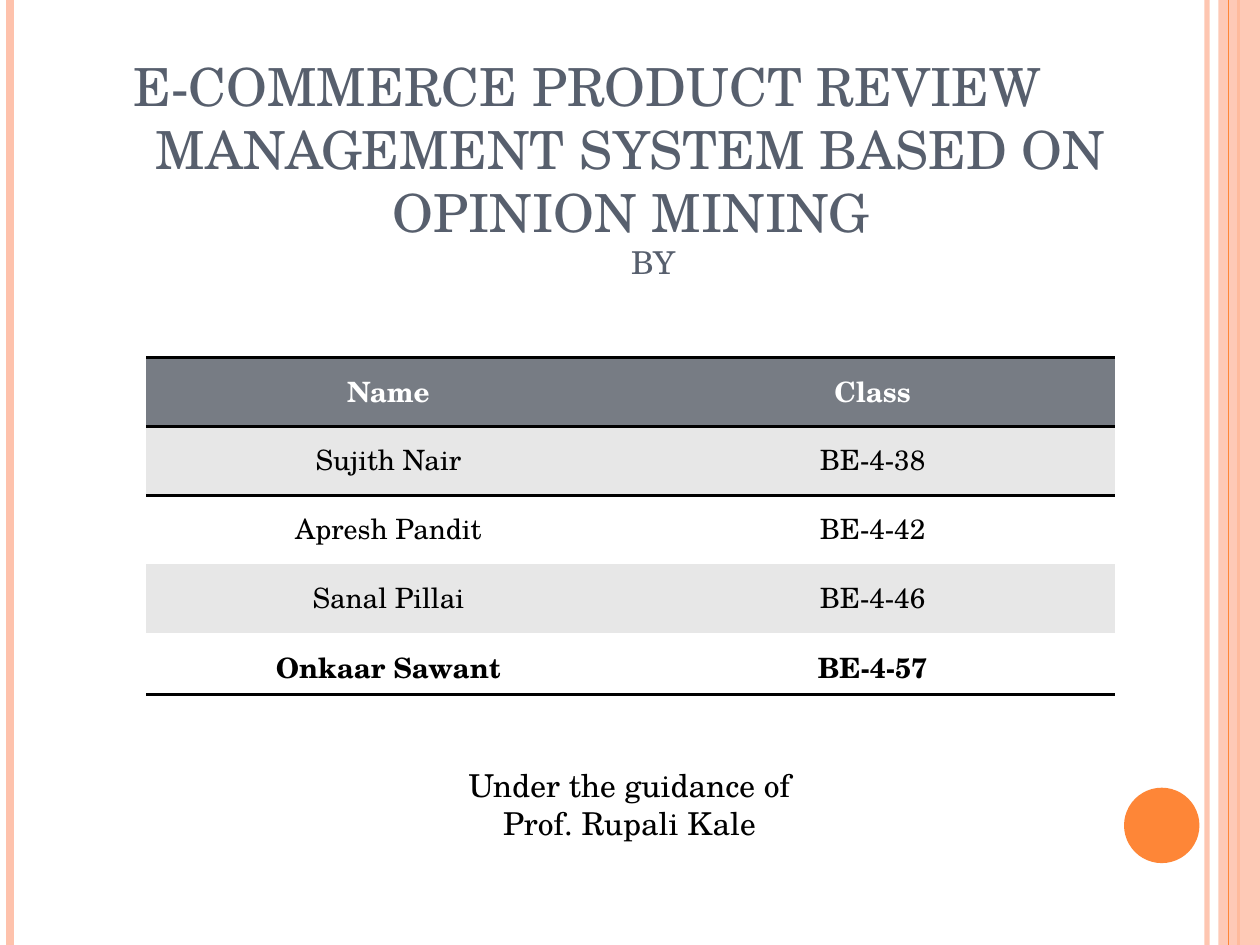
from dataclasses import dataclass

from lxml.etree import SubElement
from pptx import Presentation
from pptx.dml.color import RGBColor as RGB
from pptx.enum.shapes import MSO_CONNECTOR as Connector, MSO_SHAPE as Shape
from pptx.enum.text import MSO_ANCHOR as Anchor, PP_ALIGN as Align
from pptx.oxml.ns import qn
from pptx.util import Cm, Pt


@dataclass(frozen=True)
class Theme:
    """Colours, font and type sizes of the slide."""
    font: str = "TeX Gyre Schola"
    peach: str = "FEC2AC"
    orange: str = "FE8637"
    slate: str = "575F6D"
    header: str = "777C84"
    band: str = "E7E7E7"
    white: str = "FFFFFF"
    black: str = "000000"
    title: int = 30
    body: int = 18
    cell: int = 16


theme = Theme()
NO_STYLE = "{2D5ABB26-0587-4C30-8999-92F81FD0307C}"


def write(p, text, size, color, align=Align.CENTER, bold=False):
    """Fill a paragraph with one formatted run."""
    p.alignment = align
    r = p.add_run()
    r.text = text
    formats = {"name": theme.font, "size": Pt(size), "bold": bold}
    for key, value in formats.items():
        setattr(r.font, key, value)
    r.font.color.rgb = RGB.from_string(color)


def set_alpha(fill, percent):
    """Make a solid fill partly transparent."""
    color = next(fill.iter(qn("a:srgbClr")))
    SubElement(color, qn("a:alpha")).set("val", str(percent * 1000))


prs = Presentation()
prs.slide_width, prs.slide_height = Cm(25.4), Cm(19.05)
s = prs.slides.add_slide(prs.slide_layouts[6])

# Side decoration: vertical rules, the right band and the disc
decoration = [
    ("rule", 24.33, theme.peach, 3, 93),
    ("rule", 0.2, theme.peach, 4.5, 100),
    ("rule", 24.97, theme.orange, 1.5, 100),
    ("band", 24.56, theme.peach, 0, 87),
    ("rule", 24.77, theme.orange, 0.75, 100),
    ("disc", 22.66, theme.orange, 0, 100),
]
for kind, x, color, width, alpha in decoration:
    if kind == "rule":
        sp = s.shapes.add_connector(
            Connector.STRAIGHT, Cm(x), Cm(0), Cm(x), prs.slide_height)
        sp.line.width = Pt(width)
        paint = sp.line.fill
        SubElement(sp._element.spPr, qn("a:effectLst"))
    else:
        if kind == "band":
            sp = s.shapes.add_shape(
                Shape.RECTANGLE, Cm(x), Cm(0), Cm(0.84), prs.slide_height)
        else:
            sp = s.shapes.add_shape(
                Shape.OVAL, Cm(x), Cm(15.88), Cm(1.52), Cm(1.52))
        sp.shadow.inherit = False
        sp.line.fill.background()
        paint = sp.fill
    paint.solid()
    paint.fore_color.rgb = RGB.from_string(color)
    if alpha < 100:
        set_alpha(sp._element.spPr, alpha)

# Title
tf = s.shapes.add_textbox(Cm(2.34), Cm(2.74), Cm(20.75), Cm(3.18)).text_frame
tf.word_wrap = True
tf.vertical_anchor = Anchor.BOTTOM
for side in ("left", "right", "top", "bottom"):
    setattr(tf, f"margin_{side}", Cm(0.25))
title_lines = [
    ("E-COMMERCE PRODUCT REVIEW", theme.title, Align.LEFT, 0.1),
    ("MANAGEMENT SYSTEM BASED ON OPINION MINING", theme.title, Align.CENTER, 0),
    ("BY", theme.body, Align.CENTER, 0.91),
]
for i, (text, size, align, indent) in enumerate(title_lines):
    p = tf.add_paragraph() if i else tf.paragraphs[0]
    p._p.get_or_add_pPr().set("marL", str(Cm(indent)))
    write(p, text, size, theme.slate, align)

# Team table
team = [
    ("Name", "Class"),
    ("Sujith Nair", "BE-4-38"),
    ("Apresh Pandit", "BE-4-42"),
    ("Sanal Pillai", "BE-4-46"),
    ("Onkaar Sawant", "BE-4-57"),
]
last = len(team) - 1
frame = s.shapes.add_table(
    len(team), 2, Cm(2.95), Cm(7.21), Cm(19.52), Cm(6.81))
table = frame.table
table.first_row = table.horz_banding = False
table._tbl.tblPr.find(qn("a:tableStyleId")).text = NO_STYLE
for i, row in enumerate(team):
    table.rows[i].height = Cm(1.24 if i == last else 1.39)
    fill = theme.header if i == 0 else theme.band if i % 2 else theme.white
    edges = {0: ("a:lnT", "a:lnB"), 1: ("a:lnT",), last: ("a:lnB",)}.get(i, ())
    for j, text in enumerate(row):
        cell = table.cell(i, j)
        cell.margin_top = Cm(0.25)
        write(cell.text_frame.paragraphs[0], text, theme.cell,
              theme.black if i else theme.white, bold=i in (0, last))
        tcPr = cell._tc.get_or_add_tcPr()
        for edge in edges:
            ln = SubElement(tcPr, qn(edge), w=str(Pt(2)))
            solid = SubElement(ln, qn("a:solidFill"))
            SubElement(solid, qn("a:srgbClr"), val=theme.black)
        cell.fill.solid()
        cell.fill.fore_color.rgb = RGB.from_string(fill)

# Guidance note
tf = s.shapes.add_textbox(Cm(8.08), Cm(15.32), Cm(9.22), Cm(1.8)).text_frame
tf.word_wrap = True
for i, text in enumerate(("Under the guidance of", "Prof. Rupali Kale")):
    p = tf.add_paragraph() if i else tf.paragraphs[0]
    write(p, text, theme.body, theme.black)

prs.save("out.pptx")
